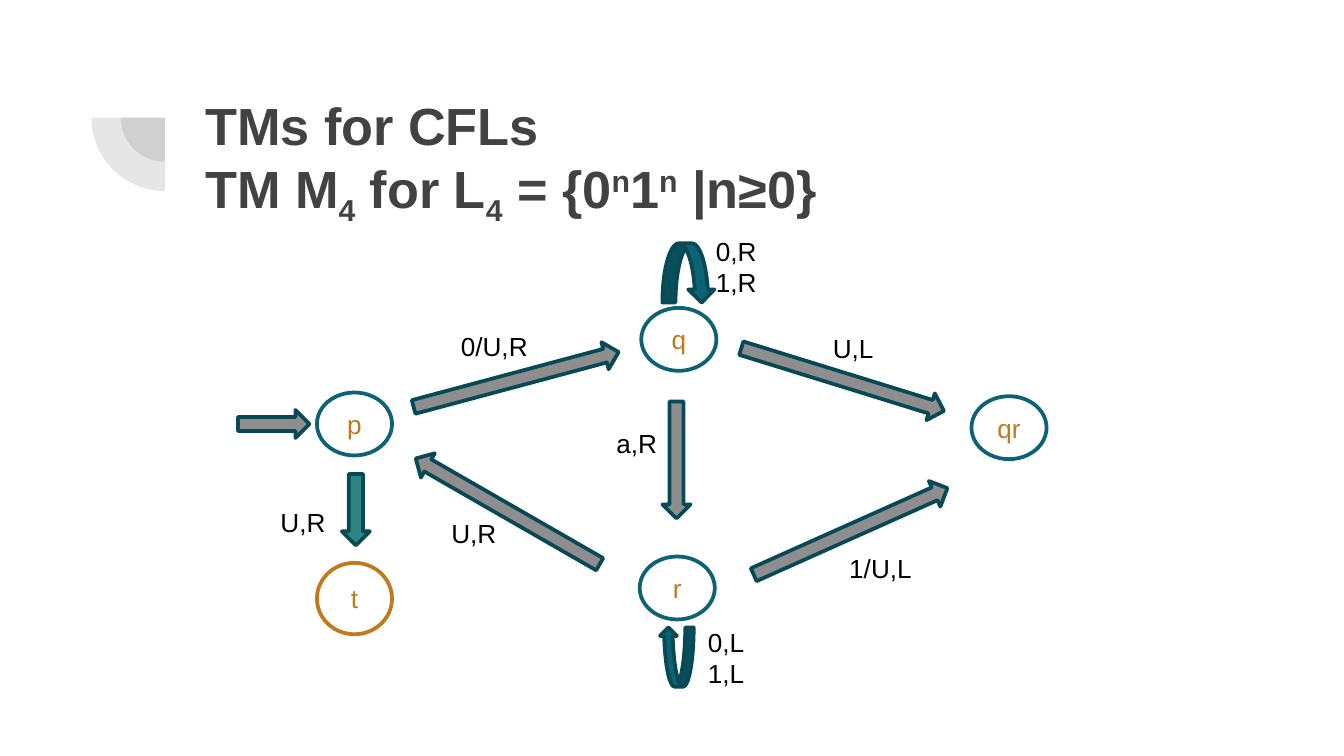
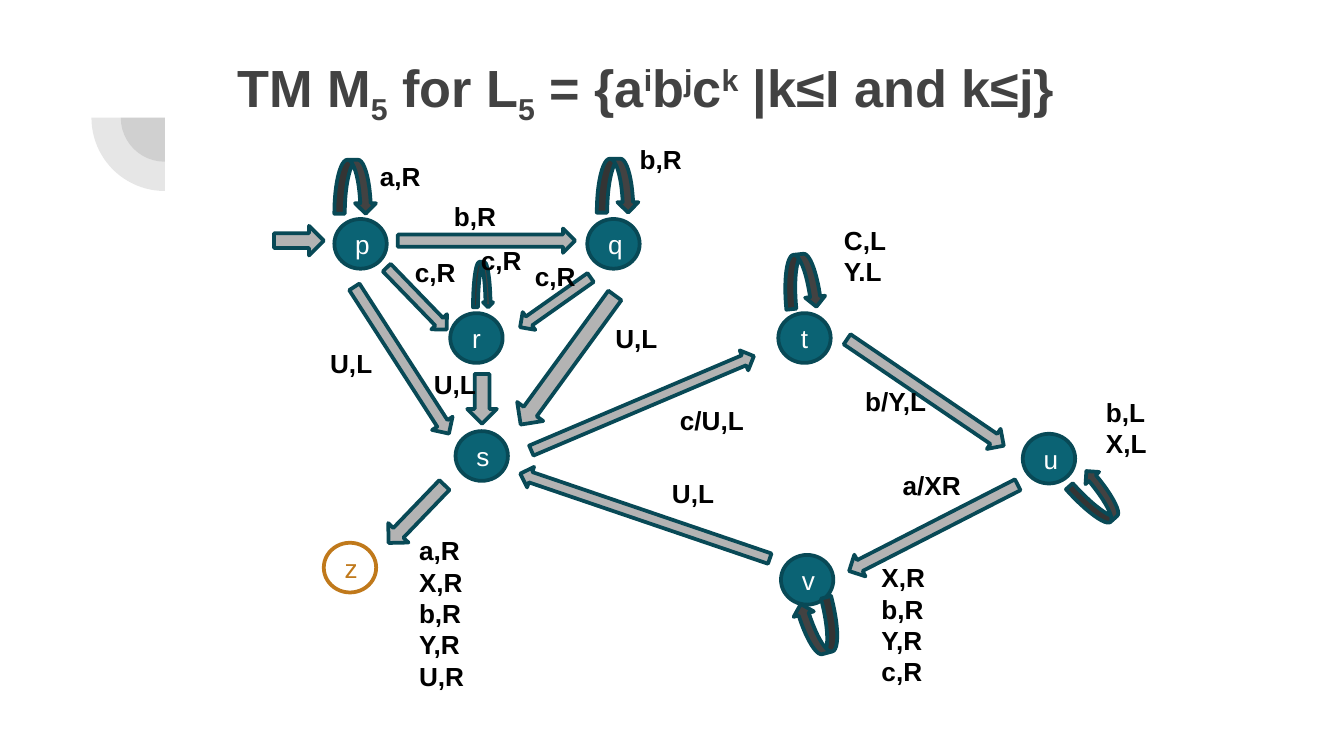
from collections import namedtuple

from lxml import etree
from pptx import Presentation
from pptx import util as u
from pptx.dml.color import RGBColor
from pptx.enum import shapes, text
from pptx.oxml.ns import qn

COLORS = {
    "ink": "424242",
    "black": "000000",
    "white": "FFFFFF",
    "teal": "0B6374",
    "deep_teal": "084956",
    "green": "2D857F",
    "amber": "C0791B",
    "gray": "8E8E8E",
    "light_gray": "B3B3B3",
}
FONT = "Arial"
SUB, SUP = -25000, 30000

Box = namedtuple("Box", "left top width height")
Look = namedtuple("Look", "fill line letter")

OUTLINED = Look("white", "teal", "amber")
FILLED = Look("teal", "deep_teal", "white")
ACCEPTING = Look("white", "amber", "amber")


def rgb(name):
    return RGBColor.from_string(COLORS[name])


def inside(area, left, top, width, height):
    return [u.Cm(n) for n in (area.left + left, area.top + top, width, height)]


def write(paragraph, words, size, color, bold=False, baseline=0):
    run = paragraph.add_run()
    run.text = words
    run.font.name = FONT
    run.font.size = u.Pt(size)
    run.font.bold = bold
    run.font.color.rgb = rgb(color)
    if baseline:
        run.font._element.set("baseline", str(baseline))


def draw(slide, preset, place, fill, line=None, turn=0):
    drawn = slide.shapes.add_shape(preset, *place)
    drawn.shadow.inherit = False
    drawn.rotation = turn
    drawn.fill.solid()
    drawn.fill.fore_color.rgb = rgb(fill)
    if line:
        drawn.line.color.rgb = rgb(line)
        drawn.line.width = u.Pt(2)
    else:
        drawn.line.fill.background()
    return drawn


def add_corner_mark(slide, layout, area):
    for share in (1, 0.6):
        side = area.width * share
        inset = (area.width - side) / 2
        place = inside(area, inset, inset, side, side)
        quarter = draw(slide, shapes.MSO_SHAPE.PIE, place, "ink", turn=270)
        quarter.adjustments[0] = 107.93
        quarter.adjustments[1] = 162
        tint = quarter.element.spPr.find(qn("a:solidFill"))[0]
        etree.SubElement(tint, qn("a:alpha")).set("val", "13000")
        layout.shapes.element.insert(2, quarter.element)


def set_title(slide, area, lines):
    heading = slide.shapes.title
    heading.left, heading.top, heading.width, heading.height = inside(
        area, 0, 0, area.width, area.height)
    frame = heading.text_frame
    frame.word_wrap = True
    frame.auto_size = text.MSO_AUTO_SIZE.NONE
    frame.vertical_anchor = text.MSO_ANCHOR.TOP
    frame.margin_left = frame.margin_right = u.Cm(0.25)
    frame.margin_top = frame.margin_bottom = u.Cm(0.25)
    paragraph = frame.paragraphs[0]
    paragraph.alignment = text.PP_ALIGN.LEFT
    for number, line in enumerate(lines):
        if number:
            paragraph.add_line_break()
        for words, baseline in line:
            write(paragraph, words, 28, "ink", True, baseline)


def add_states(slide, area, size, look, states):
    for letter, left, top in states:
        state = draw(slide, shapes.MSO_SHAPE.OVAL,
                     inside(area, left, top, *size), look.fill, look.line)
        frame = state.text_frame
        frame.word_wrap = True
        frame.vertical_anchor = text.MSO_ANCHOR.MIDDLE
        frame.paragraphs[0].alignment = text.PP_ALIGN.CENTER
        write(frame.paragraphs[0], letter, 14, look.letter)


def add_moves(slide, area, fill, moves):
    for left, top, length, thickness, turn in moves:
        draw(slide, shapes.MSO_SHAPE.RIGHT_ARROW,
             inside(area, left, top, length, thickness), fill, "deep_teal", turn)


def add_loops(slide, area, fill, loops):
    for left, top, width, height, turn, flipped in loops:
        loop = draw(slide, shapes.MSO_SHAPE.CURVED_DOWN_ARROW,
                    inside(area, left, top, width, height), fill, "deep_teal", turn)
        if flipped:
            loop.element.spPr.find(qn("a:xfrm")).set("flipH", "1")


def add_labels(slide, area, width, bold, labels):
    for rules, left, top in labels:
        lines = rules.split()
        label = slide.shapes.add_textbox(
            *inside(area, left, top, width, 0.26 + 0.6 * len(lines)))
        frame = label.text_frame
        frame.word_wrap = True
        frame.auto_size = text.MSO_AUTO_SIZE.SHAPE_TO_FIT_TEXT
        for number, rule in enumerate(lines):
            paragraph = frame.add_paragraph() if number else frame.paragraphs[0]
            write(paragraph, rule, 14, "black", bold)


def add_m4_diagram(slide, area):
    add_states(slide, area, (1.42, 1.19), OUTLINED, [
        ("q", 8.12, 1.82), ("r", 8.09, 6.52), ("p", 1.99, 3.42), ("qr", 14.36, 3.49)])
    add_states(slide, area, (1.42, 1.35), ACCEPTING, [("t", 1.99, 6.64)])
    add_moves(slide, area, "gray", [
        (3.75, 2.91, 4.01, 0.53, 345),
        (9.92, 2.91, 4.01, 0.53, 17.2),
        (10.07, 5.78, 4.01, 0.53, 335.9),
        (3.59, 5.4, 4.01, 0.53, 209.9),
        (7.68, 4.43, 2.21, 0.53, 90),
        (0.5, 3.75, 1.35, 0.53, 0)])
    add_moves(slide, area, "green", [(2.05, 5.37, 1.35, 0.53, 90)])
    add_loops(slide, area, "teal", [
        (8.52, 0.6, 0.99, 1.12, 0, False),
        (8.47, 7.86, 0.64, 1.12, 180, False)])
    add_labels(slide, area, 2.13, False, [
        ("0,R 1,R", 9.28, 0.32), ("0/U,R", 4.46, 2.12),
        ("a,R", 7.4, 3.95), ("U,R", 4.28, 5.65),
        ("0,L 1,L", 9.13, 7.71), ("U,L", 11.49, 2.15),
        ("U,R", 1.05, 5.45), ("1/U,L", 11.8, 6.31)])


def add_m5_diagram(slide, area):
    size = (0.99, 0.94)
    add_states(slide, area, size, FILLED, [
        ("p", 1.32, 2.14), ("q", 6.1, 2.14), ("r", 3.51, 3.92), ("s", 3.61, 6.15),
        ("t", 9.71, 3.92), ("u", 14.33, 6.2), ("v", 9.76, 8.49)])
    add_states(slide, area, size, ACCEPTING, [("z", 1.12, 8.26)])
    add_moves(slide, area, "light_gray", [
        (2.52, 2.32, 3.35, 0.46, 0),
        (4.68, 3.51, 1.63, 0.41, 144.8),
        (2.06, 3.44, 1.63, 0.41, 45.9),
        (3.64, 5.26, 0.94, 0.56, 90),
        (4.22, 4.5, 3.02, 0.61, 126.1),
        (0.94, 4.58, 3.3, 0.46, 57.2),
        (2.11, 7.45, 1.52, 0.53, 133.9),
        (4.86, 5.42, 4.57, 0.41, 337),
        (10.7, 5.19, 3.58, 0.46, 34.2),
        (10.85, 7.75, 3.58, 0.46, 152.9),
        (4.7, 7.55, 4.98, 0.41, 198.8),
        (0.18, 2.27, 0.94, 0.56, 0)])
    add_loops(slide, area, "ink", [
        (1.32, 1.02, 0.79, 1.02, 0, False),
        (6.28, 1, 0.79, 1.02, 0, False),
        (10.06, 9.35, 0.79, 1.02, 165, False),
        (9.81, 2.8, 0.76, 1.02, 354.3, False),
        (15.4, 6.89, 0.69, 1.02, 138.2, True),
        (3.94, 2.95, 0.38, 0.86, 0, False)])
    add_labels(slide, area, 1.73, True, [
        ("a,R", 1.93, 0.9), ("b,R", 3.33, 1.66), ("b,R", 6.84, 0.59),
        ("c,R", 2.59, 2.72), ("c,R", 4.86, 2.8), ("c,R", 3.84, 2.5),
        ("U,L", 6.38, 3.97), ("U,L", 2.95, 4.83), ("U,L", 0.99, 4.45),
        ("c/U,L", 7.6, 5.52), ("C,L Y.L", 10.7, 2.11), ("b,L X,L", 15.65, 5.37),
        ("b/Y,L", 11.1, 5.16), ("U,L", 7.45, 6.89), ("a/XR", 11.81, 6.74),
        ("X,R b,R Y,R c,R", 11.41, 8.49),
        ("a,R X,R b,R Y,R U,R", 2.67, 7.98)])


def main():
    deck = Presentation()
    deck.slide_width, deck.slide_height = u.Cm(25.4), u.Cm(14.29)
    layout = deck.slide_layouts[5]

    m4 = deck.slides.add_slide(layout)
    add_corner_mark(m4, layout, Box(1.73, 0.84, 2.77, 2.77))
    set_title(m4, Box(3.63, 1.52, 19.53, 2.77), [
        [("TMs for CFLs", 0)],
        [("TM M", 0), ("4", SUB), (" for L", 0), ("4", SUB), (" = {0", 0),
         ("n", SUP), ("1", 0), ("n", SUP), (" |n≥0}", 0)]])
    add_m4_diagram(m4, Box(4, 4, 16, 9.2))

    m5 = deck.slides.add_slide(layout)
    set_title(m5, Box(4.24, 0.79, 19.53, 2.77), [
        [("TM M", 0), ("5", SUB), (" for L", 0), ("5", SUB), (" = {a", 0),
         ("i", SUP), ("b", 0), ("j", SUP), ("c", 0), ("k", SUP),
         (" |k≤I and k≤j}", 0)]])
    add_m5_diagram(m5, Box(5, 2, 17.4, 11.3))

    deck.save("out.pptx")


if __name__ == "__main__":
    main()
